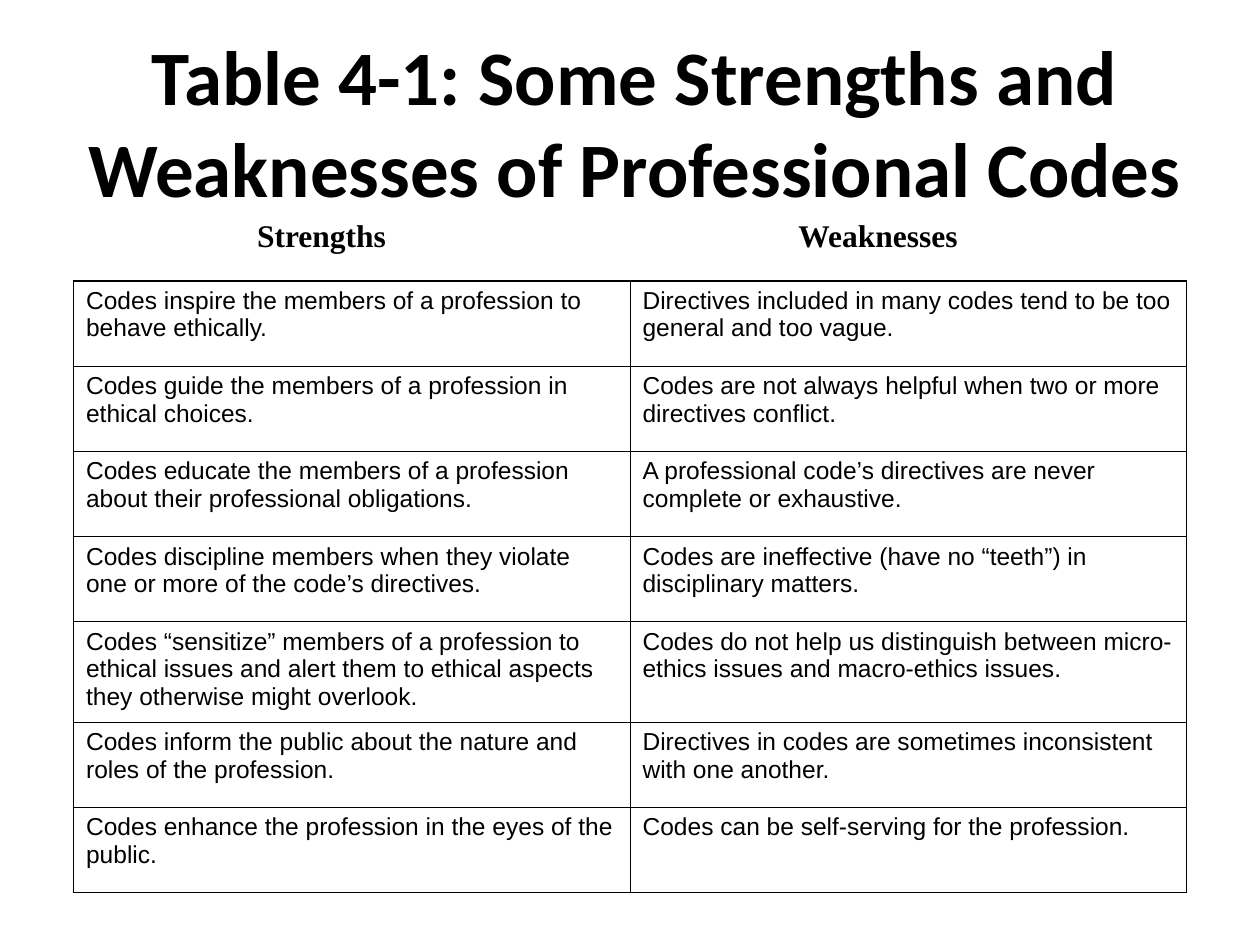
from dataclasses import dataclass

from lxml import etree
from pptx import Presentation
from pptx.dml.color import RGBColor
from pptx.enum import text
from pptx.oxml import ns
from pptx.util import Pt


@dataclass(frozen=True)
class Theme:
    ink: str = "000000"
    title: tuple = ("Calibri", 44, True)
    heading: tuple = ("Times New Roman", 18, True)
    body: tuple = ("Arial", 14, False)
    outer_line: float = 1.08
    inner_line: float = 0.45


class SlideBuilder:
    """Holds the theme and the current slide; lengths are in points."""

    def __init__(self, presentation, theme):
        self.theme = theme
        self.slide = presentation.slides.add_slide(presentation.slide_layouts[5])

    def add_text(self, frame, content, style, align=text.PP_ALIGN.LEFT):
        paragraph = frame.paragraphs[0]
        paragraph.alignment = align
        run = paragraph.add_run()
        run.text = content
        name, size, bold = style
        for key, value in {"name": name, "size": Pt(size), "bold": bold}.items():
            setattr(run.font, key, value)
        run.font.color.rgb = RGBColor.from_string(self.theme.ink)

    def title(self, content, box):
        shape = self.slide.shapes.title
        for key, value in zip(("left", "top", "width", "height"), box):
            setattr(shape, key, Pt(value))
        frame_format = {
            "word_wrap": True,
            "auto_size": text.MSO_AUTO_SIZE.NONE,
            "vertical_anchor": text.MSO_ANCHOR.MIDDLE,
        }
        for key, value in frame_format.items():
            setattr(shape.text_frame, key, value)
        self.add_text(shape.text_frame, content, self.theme.title, text.PP_ALIGN.CENTER)

    def heading(self, content, box):
        shape = self.slide.shapes.add_textbox(*map(Pt, box))
        shape.text_frame.word_wrap = True
        shape.text_frame.auto_size = text.MSO_AUTO_SIZE.SHAPE_TO_FIT_TEXT
        self.add_text(shape.text_frame, content, self.theme.heading, text.PP_ALIGN.CENTER)

    def border(self, cell, side, width):
        line = etree.SubElement(cell._tc.get_or_add_tcPr(), ns.qn(f"a:{side}"), w=str(int(Pt(width))))
        fill = etree.SubElement(line, ns.qn("a:solidFill"))
        etree.SubElement(fill, ns.qn("a:srgbClr"), val=self.theme.ink)

    def table(self, rows, box, row_heights):
        last_row, last_column = len(rows) - 1, len(rows[0]) - 1
        table = self.slide.shapes.add_table(len(rows), len(rows[0]), *map(Pt, box)).table
        table.first_row = table.horz_banding = False
        for row, height in zip(table.rows, row_heights):
            row.height = Pt(height)
        for i, row in enumerate(rows):
            for j, content in enumerate(row):
                cell = table.cell(i, j)
                self.add_text(cell.text_frame, content, self.theme.body)
                # Heavier lines on the outside edge of the table
                edges = {"lnL": j == 0, "lnR": j == last_column,
                         "lnT": i == 0, "lnB": i == last_row}
                for side, outer in edges.items():
                    self.border(cell, side, self.theme.outer_line if outer else self.theme.inner_line)
                cell.fill.background()


ROWS = [
    ("Codes inspire the members of a profession to behave ethically.",
     "Directives included in many codes tend to be too general and too vague."),
    ("Codes guide the members of a profession in ethical choices.",
     "Codes are not always helpful when two or more directives conflict."),
    ("Codes educate the members of a profession about their professional obligations.",
     "A professional code’s directives are never complete or exhaustive."),
    ("Codes discipline members when they violate one or more of the code’s directives.",
     "Codes are ineffective (have no “teeth”) in disciplinary matters."),
    ("Codes “sensitize” members of a profession to ethical issues and alert them "
     "to ethical aspects they otherwise might overlook.",
     "Codes do not help us distinguish between micro-ethics issues and macro-ethics issues."),
    ("Codes inform the public about the nature and roles of the profession.",
     "Directives in codes are sometimes inconsistent with one another."),
    ("Codes enhance the profession in the eyes of the public.",
     "Codes can be self-serving for the profession."),
]


def main():
    presentation = Presentation()
    presentation.slide_width, presentation.slide_height = Pt(720), Pt(540)
    builder = SlideBuilder(presentation, Theme())

    # Title
    builder.title("Table 4-1: Some Strengths and Weaknesses of Professional Codes",
                  (36, 24, 654, 90))

    # Table: the fifth row holds three lines of text
    row_heights = [48.7] * len(ROWS)
    row_heights[4] = 57.4
    builder.table(ROWS, (42, 160.5, 636, sum(row_heights)), row_heights)

    # Column headings
    for content, left in (("Strengths ", 66), ("Weaknesses ", 384)):
        builder.heading(content, (left, 120, 240, 29))

    presentation.save("out.pptx")


if __name__ == "__main__":
    main()
